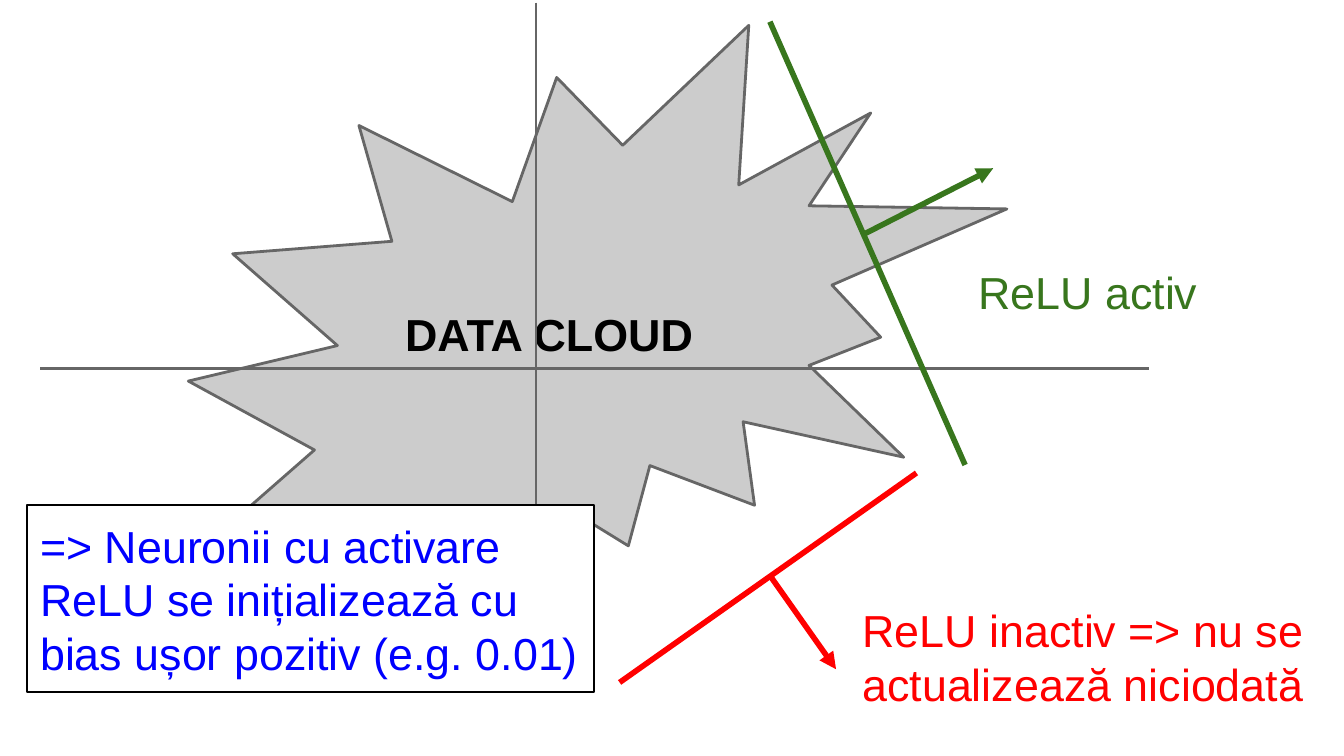
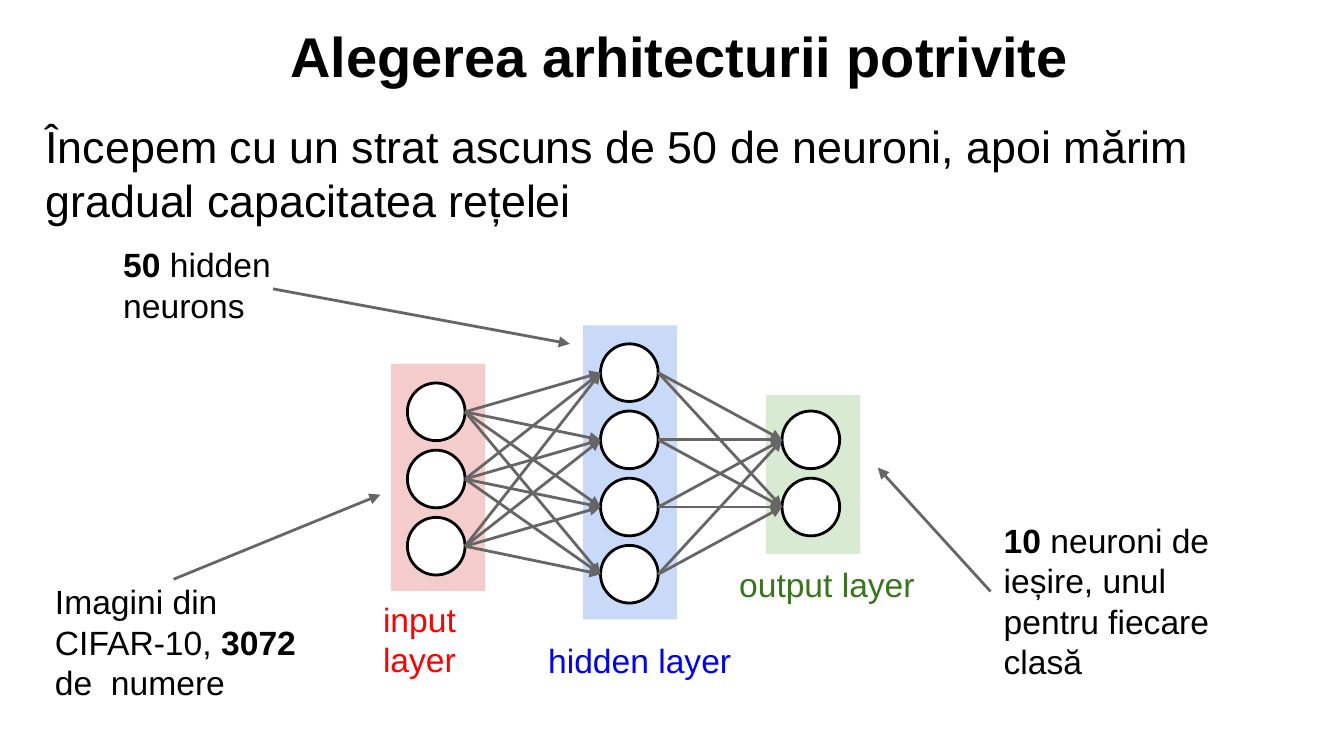
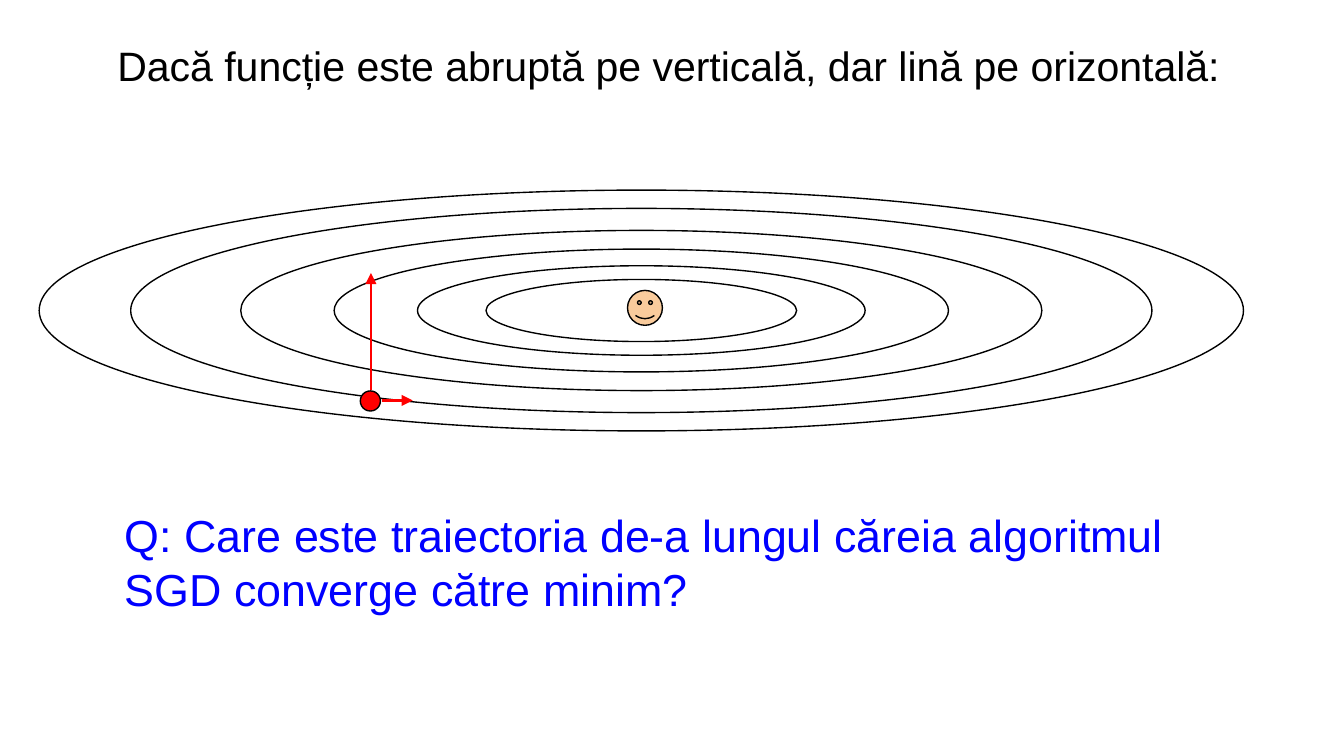
from lxml import etree
from pptx import Presentation
from pptx.dml.color import RGBColor
from pptx.enum import shapes, text
from pptx.oxml import ns
from pptx.util import Cm, Pt

BLACK = RGBColor(0x00, 0x00, 0x00)
WHITE = RGBColor(0xFF, 0xFF, 0xFF)
GREY = RGBColor(0x66, 0x66, 0x66)
CLOUD = RGBColor(0xCC, 0xCC, 0xCC)
GREEN = RGBColor(0x38, 0x76, 0x1D)
RED = RGBColor(0xFF, 0x00, 0x00)
BLUE = RGBColor(0x00, 0x00, 0xFF)
PINK = RGBColor(0xF4, 0xCC, 0xCC)
SKY = RGBColor(0xC9, 0xDA, 0xF8)
MINT = RGBColor(0xD9, 0xEA, 0xD3)
SKIN = RGBColor(0xF9, 0xCB, 0x9C)
FONT = "Arial"
KIND = shapes.MSO_SHAPE
LEFT = text.PP_ALIGN.LEFT
MID = text.PP_ALIGN.CENTER


def draw(page, kind, box, fill=None, edge=None, wide=0.75):
    shape = page.shapes.add_shape(kind, *map(Cm, box))
    shape.shadow.inherit = False
    if fill is None:
        shape.fill.background()
    else:
        shape.fill.solid()
        shape.fill.fore_color.rgb = fill
    if edge is None:
        shape.line.fill.background()
    else:
        shape.line.color.rgb = edge
        shape.line.width = Pt(wide)
    return shape


def write(shape, parts, size, ink, align=LEFT, anchor=text.MSO_ANCHOR.TOP):
    frame = shape.text_frame
    frame.word_wrap = True
    frame.auto_size = text.MSO_AUTO_SIZE.NONE
    frame.vertical_anchor = anchor
    frame.margin_left = frame.margin_right = Cm(0.25)
    frame.margin_top = frame.margin_bottom = Cm(0.25)
    para = frame.paragraphs[0]
    para.alignment = align
    para.space_before = Pt(0)
    for words, bold in parts:
        run = para.add_run()
        run.text = words
        run.font.name = FONT
        run.font.size = Pt(size)
        run.font.bold = bold
        run.font.color.rgb = ink


deck = Presentation()
deck.slide_width = Cm(25.4)
deck.slide_height = Cm(14.29)
relu, net, sgd = [deck.slides.add_slide(deck.slide_layouts[n]) for n in (6, 1, 5)]

heads = [
    (net.shapes.title, (0.61, 0.15, 24.46, 1.7), "Alegerea arhitecturii potrivite", 30, True, MID),
    (net.placeholders[1], (0.61, 2, 24.46, 2.5),
     "Începem cu un strat ascuns de 50 de neuroni, apoi mărim gradual capacitatea rețelei", 24, False, LEFT),
    (sgd.shapes.title, (0.36, 0.51, 24.56, 1.42),
     "Dacă funcție este abruptă pe verticală, dar lină pe orizontală:", 22, False, MID),
]
for head, box, words, size, bold, align in heads:
    head.left, head.top, head.width, head.height = map(Cm, box)
    props = head.text_frame.paragraphs[0]._p.get_or_add_pPr()
    props.set("marL", "0")
    props.set("indent", "0")
    etree.SubElement(props, ns.qn("a:buNone"))
    write(head, [(words, bold)], size, BLACK, align)

cloud = draw(relu, KIND.EXPLOSION2, (3.56, 0.48, 15.47, 11.28), CLOUD, GREY, 1.5)
write(cloud, [("DATA CLOUD", True)], 24, BLACK, anchor=text.MSO_ANCHOR.MIDDLE)

links = [
    (relu, (10.13, 0.05), (10.13, 12.88), GREY, 1.5, False),
    (relu, (0.76, 6.96), (21.72, 6.96), GREY, 1.5, False),
    (relu, (14.55, 0.41), (18.24, 8.79), GREEN, 3, False),
    (relu, (16.28, 4.45), (18.77, 3.18), GREEN, 3, True),
    (relu, (17.32, 8.94), (11.71, 12.9), RED, 3, False),
    (relu, (14.58, 10.92), (15.8, 12.65), RED, 3, True),
    (net, (3.28, 10.95), (7.19, 9.35), GREY, 1.5, True),
    (net, (18.72, 11.18), (16.59, 8.84), GREY, 1.5, True),
    (net, (5.16, 5.46), (10.77, 6.5), GREY, 1.5, True),
    (sgd, (7.21, 7.57), (7.8, 7.57), RED, 1.5, True),
    (sgd, (7.01, 7.37), (7.01, 5.16), RED, 1.5, True),
]

NODE = 1.09
STEP = 1.27
layers = [
    (PINK, (7.39, 6.88, 1.78, 4.29), 7.7, 7.24, 3),
    (SKY, (11.02, 6.15, 1.78, 5.56), 11.35, 6.5, 4),
    (MINT, (14.48, 7.47, 1.78, 3), 14.78, 7.77, 2),
]
prior = []
for fill, band, x, y, count in layers:
    draw(net, KIND.RECTANGLE, band, fill)
    tops = [y + STEP * n for n in range(count)]
    for top in tops:
        draw(net, KIND.OVAL, (x, top, NODE, NODE), WHITE, BLACK, 1.5)
        for start in prior:
            links.append((net, start, (x, top + NODE / 2), GREY, 1.5, True))
    prior = [(x + NODE, top + NODE / 2) for top in tops]

for wide in (5.87, 22.76, 19.3, 15.14, 11.61, 8.46):
    high = wide / 5
    ring = draw(sgd, KIND.OVAL, (12.12 - high / 2, 5.87 - wide / 2, high, wide), None, BLACK)
    ring.rotation = 90
draw(sgd, KIND.OVAL, (6.81, 7.39, 0.38, 0.38), RED, BLACK)
smile = draw(sgd, KIND.SMILEY_FACE, (11.86, 5.49, 0.66, 0.66), SKIN, BLACK)
smile.adjustments[0] = 0.047

for page, start, end, ink, wide, arrow in links:
    link = page.shapes.add_connector(shapes.MSO_CONNECTOR.STRAIGHT, *map(Cm, start + end))
    link.line.color.rgb = ink
    link.line.width = Pt(wide)
    if arrow:
        etree.SubElement(link.line._get_or_add_ln(), ns.qn("a:tailEnd"), type="triangle")
    etree.SubElement(link._element.spPr, ns.qn("a:effectLst"))

notes = [
    (relu, (18.24, 4.75, 6.25, 1.9), [("ReLU activ", False)], 24, GREEN),
    (relu, (16.05, 11.15, 8.86, 2.84),
     [("ReLU inactiv => nu se actualizează niciodată", False)], 24, RED),
    (net, (6.99, 11.07, 3.12, 0.76), [("input layer", False)], 18, RED),
    (net, (10.11, 11.84, 4.01, 0.76), [("hidden layer", False)], 18, BLUE),
    (net, (13.72, 10.41, 4.01, 0.76), [("output layer", False)], 18, GREEN),
    (net, (0.79, 10.74, 5.26, 3.53),
     [("Imagini din CIFAR-10, ", False), ("3072 ", True), ("de  numere", False)], 18, BLACK),
    (net, (18.72, 9.58, 4.45, 1.09),
     [("10 ", True), ("neuroni de ieșire, unul pentru fiecare clasă", False)], 18, BLACK),
    (net, (2.08, 4.37, 4.45, 1.09), [("50", True), (" hidden neurons", False)], 18, BLACK),
    (sgd, (2.11, 9.35, 20.9, 1.52),
     [("Q: Care este traiectoria de-a lungul căreia algoritmul SGD converge către minim?", False)], 24, BLUE),
]
for page, box, parts, size, ink in notes:
    write(page.shapes.add_textbox(*map(Cm, box)), parts, size, ink)

rule = draw(relu, KIND.RECTANGLE, (0.51, 9.55, 10.72, 3.53), WHITE, BLACK)
write(rule, [("=> Neuronii cu activare ReLU se inițializează cu bias ușor pozitiv (e.g. 0.01)", False)], 24, BLUE)

deck.save("out.pptx")
